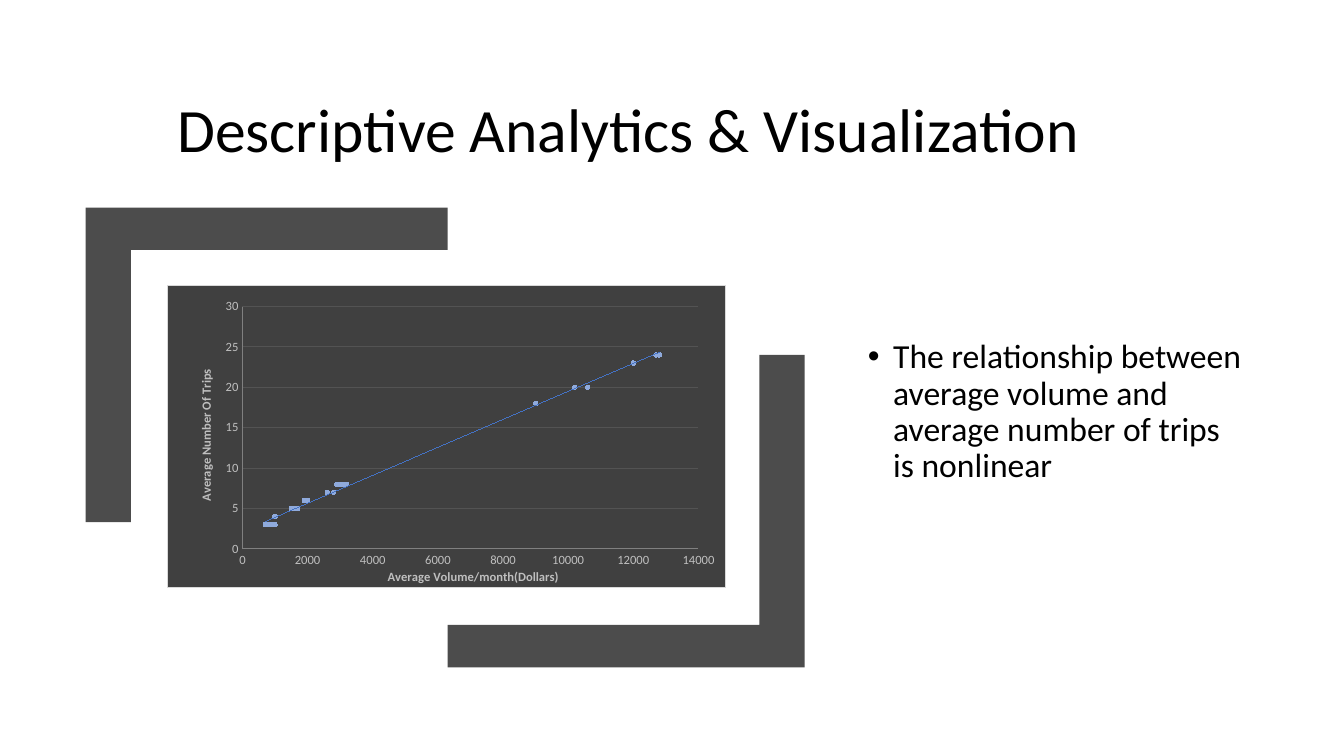
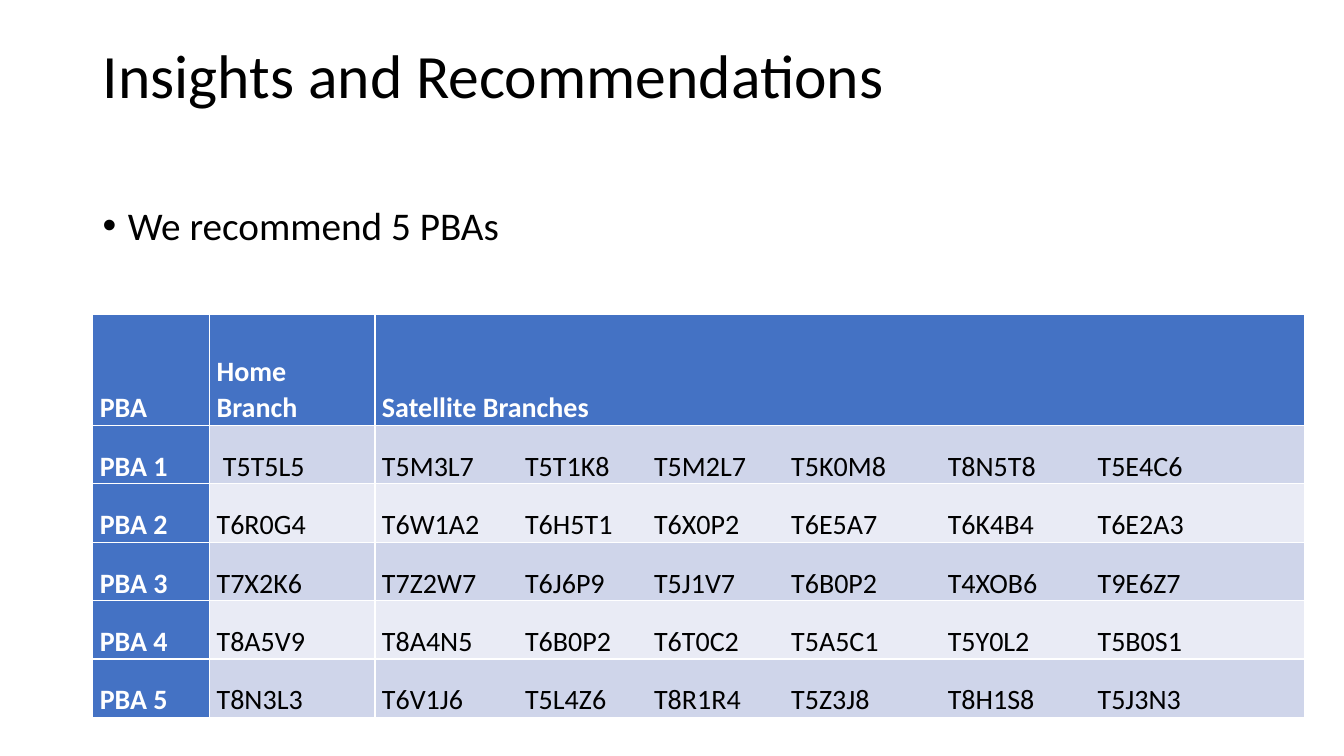
"""Build two slides: a scatter chart of trips by volume and a table of recommended PBAs."""
from lxml import etree
from pptx import Presentation
from pptx import chart as ch
from pptx import util as u
from pptx.chart import data
from pptx.dml import color
from pptx.enum import chart as ce, text
from pptx.oxml import ns, parse_xml

C = {"ink": "000000", "paper": "FFFFFF", "bracket": "4C4C4C", "accent": "4472C4",
     "band": "CFD5EA", "pale": "E9EBF5", "panel": "404040", "edge": "D9D9D9",
     "label": "BFBFBF", "axis": "808080", "grid": "535353", "dot": "8FAADC"}
FONT = "Calibri"
W, H = u.Inches(13.33), u.Inches(7.5)

VOLUMES = [800, 2900, 3100, 1500, 1700, 1700, 900, 2600, 1000, 700, 1500, 10600,
           1600, 2600, 900, 800, 2800, 1000, 1900, 9000, 10200, 3000, 2000, 1900,
           1500, 12000, 3000, 1000, 12800, 800, 2600, 12700, 1000, 3200, 1700]
TRIPS = [3, 8, 8, 5, 5, 5, 3, 7, 4, 3, 5, 20, 5, 7, 3, 3, 7, 3, 6, 18, 20, 8, 6, 6,
         5, 23, 8, 4, 24, 3, 7, 24, 4, 8, 5]
HEADER = ["PBA", "Home Branch", "Satellite Branches"]
BRANCHES = [(" T5T5L5", "T5M3L7 T5T1K8 T5M2L7 T5K0M8 T8N5T8 T5E4C6"),
            ("T6R0G4", "T6W1A2 T6H5T1 T6X0P2 T6E5A7 T6K4B4 T6E2A3"),
            ("T7X2K6", "T7Z2W7 T6J6P9 T5J1V7 T6B0P2 T4XOB6 T9E6Z7"),
            ("T8A5V9", "T8A4N5 T6B0P2 T6T0C2 T5A5C1 T5Y0L2 T5B0S1"),
            ("T8N3L3", "T6V1J6 T5L4Z6 T8R1R4 T5Z3J8 T8H1S8 T5J3N3")]
TABS = [10.65, 20.25, 30.45, 42.1, 53.25]


def px(share):
    """Return a percentage of the slide's width."""
    return u.Emu(round(W * share / 100))


def py(share):
    """Return a percentage of the slide's height."""
    return u.Emu(round(H * share / 100))


def box(left, top, width, height):
    """Return a frame given as percentages of the slide."""
    return px(left), py(top), px(width), py(height)


def rgb(name):
    """Return a palette colour."""
    return color.RGBColor.from_string(C[name])


def style(font, size, name="ink", bold=False):
    """Set the face, size, colour and weight of a font."""
    font.name, font.size, font.bold = FONT, u.Pt(size), bold
    font.color.rgb = rgb(name)


def add_slide(prs, title, frame, anchor):
    """Add a title-only slide with its title placed and formatted."""
    s = prs.slides.add_slide(prs.slide_layouts[5])
    sp = s.shapes.title
    sp.left, sp.top, sp.width, sp.height = frame
    tf = sp.text_frame
    tf.text, tf.vertical_anchor = title, anchor
    tf.auto_size = text.MSO_AUTO_SIZE.NONE
    p = tf.paragraphs[0]
    p.alignment, p.line_spacing = text.PP_ALIGN.LEFT, 0.9
    style(p.runs[0].font, 44)
    return s


def add_bullet(s, words, frame, size, anchor=text.MSO_ANCHOR.TOP, bottom=0.05):
    """Add a text box holding one bulleted paragraph."""
    tf = s.shapes.add_textbox(*frame).text_frame
    tf.word_wrap, tf.vertical_anchor = True, anchor
    tf.margin_bottom = u.Inches(bottom)
    tf.text = words
    p = tf.paragraphs[0]
    p.line_spacing, p.space_before = 0.9, u.Pt(10)
    style(p.runs[0].font, size)
    pPr = p._p.get_or_add_pPr()
    pPr.set("marL", str(u.Inches(0.25)))
    pPr.set("indent", str(-u.Inches(0.25)))
    etree.SubElement(pPr, ns.qn("a:buFont")).set("typeface", "Arial")
    etree.SubElement(pPr, ns.qn("a:buChar")).set("char", "•")


def add_bracket(s, corner, end, thick):
    """Draw an L-shaped bracket from its outer corner to the ends of its arms."""
    (x, y), (ex, ey), (tx, ty) = corner, end, thick
    points = [(x, y), (ex, y), (ex, y + ty), (x + tx, y + ty), (x + tx, ey), (x, ey)]
    points = [(px(a), py(b)) for a, b in points]
    builder = s.shapes.build_freeform(*points[0])
    builder.add_line_segments(points[1:])
    sp = builder.convert_to_shape()
    sp.shadow.inherit = False
    sp.fill.solid()
    sp.fill.fore_color.rgb = rgb("bracket")
    sp.line.fill.background()


def set_layout(parent, index, **values):
    """Give a chart part a manual layout, in shares of the chart."""
    for old in parent.findall(ns.qn("c:layout")):
        parent.remove(old)
    layout = etree.Element(ns.qn("c:layout"))
    manual = etree.SubElement(layout, ns.qn("c:manualLayout"))
    for tag, value in values.items():
        etree.SubElement(manual, ns.qn("c:" + tag)).set("val", str(value))
    parent.insert(index, layout)


def format_axis(axis, title, top, step, at):
    """Scale and colour an axis and place its title."""
    axis.minimum_scale, axis.maximum_scale, axis.major_unit = 0, top, step
    axis.major_tick_mark = axis.minor_tick_mark = ce.XL_TICK_MARK.NONE
    style(axis.tick_labels.font, 9, "label")
    axis.format.line.color.rgb, axis.format.line.width = rgb("axis"), u.Pt(0.75)
    tf = axis.axis_title.text_frame
    tf.text = title
    style(tf.paragraphs[0].runs[0].font, 9, "label", True)
    set_layout(axis.axis_title._element, 1, xMode="edge", yMode="edge", x=at[0], y=at[1])
    return tf


def add_scatter(s, frame):
    """Add the scatter chart with a linear trend line."""
    cd = data.XyChartData()
    points = cd.add_series("Series 1")
    for x, y in zip(VOLUMES, TRIPS):
        points.add_data_point(x, y)
    chart = s.shapes.add_chart(ce.XL_CHART_TYPE.XY_SCATTER, *frame, cd).chart
    chart.has_title = chart.has_legend = False
    style(chart.font, 10)
    plot = chart.plots[0]
    plot.vary_by_categories = False
    set_layout(chart._chartSpace.chart.plotArea, 0, layoutTarget="inner", xMode="edge",
               yMode="edge", x=0.134, y=0.069, w=0.818, h=0.803)
    chart._chartSpace.chart.addnext(parse_xml(
        f'<c:spPr {ns.nsdecls("c", "a")}><a:solidFill><a:srgbClr val="{C["panel"]}"/>'
        f'</a:solidFill><a:ln w="9525"><a:solidFill><a:srgbClr val="{C["edge"]}"/>'
        '</a:solidFill></a:ln></c:spPr>'))

    x_axis, y_axis = chart.category_axis, chart.value_axis
    x_axis.has_major_gridlines = False
    format_axis(x_axis, "Average Volume/month(Dollars)", 14000, 2000, (0.39, 0.93))
    tf = format_axis(y_axis, "Average Number Of Trips", 30, 5, (0.05, 0.27))
    tf._txBody.bodyPr.set("rot", "-5400000")
    tf._txBody.bodyPr.set("vert", "horz")
    y_axis.has_major_gridlines = True
    grid = y_axis.major_gridlines.format.line
    grid.color.rgb, grid.width = rgb("grid"), u.Pt(0.75)

    series = plot.series[0]
    series.smooth = False
    series.format.line.fill.background()
    marker = series.marker
    marker.style, marker.size = ce.XL_MARKER_STYLE.CIRCLE, 3
    marker.format.fill.solid()
    marker.format.fill.fore_color.rgb = rgb("dot")
    marker.format.line.color.rgb = rgb("dot")
    series._element.find(ns.qn("c:xVal")).addprevious(parse_xml(
        f'<c:trendline {ns.nsdecls("c", "a")}><c:spPr><a:ln w="0"><a:solidFill>'
        f'<a:srgbClr val="{C["accent"]}"/></a:solidFill></a:ln></c:spPr>'
        '<c:trendlineType val="linear"/><c:dispRSqr val="0"/><c:dispEq val="0"/>'
        '</c:trendline>'))


def fill_cell(cell, words, fill, name, bold):
    """Write a table cell, setting its codes on shared tab stops."""
    cell.text = words
    cell.vertical_anchor = text.MSO_ANCHOR.BOTTOM
    cell.margin_left = cell.margin_right = u.Inches(0.07)
    cell.margin_top = cell.margin_bottom = 0
    cell.fill.solid()
    cell.fill.fore_color.rgb = rgb(fill)
    p = cell.text_frame.paragraphs[0]
    p.line_spacing = 1.07
    style(p.runs[0].font, 20, name, bold)
    if "\t" in words:
        stops = etree.SubElement(p._p.get_or_add_pPr(), ns.qn("a:tabLst"))
        for stop in TABS:
            etree.SubElement(stops, ns.qn("a:tab"), pos=str(px(stop)), algn="l")


def add_branch_table(s, frame):
    """Add the table of home and satellite branches."""
    rows = [HEADER] + [[f"PBA {i}", home, "\t".join(codes.split())]
                       for i, (home, codes) in enumerate(BRANCHES, 1)]
    table = s.shapes.add_table(len(rows), len(HEADER), *frame).table
    for column, share in zip(table.columns, (8.7, 12.3, 69.17)):
        column.width = px(share)
    for i, row in enumerate(rows):
        table.rows[i].height = py(7.73 if i else 14.67)
        for j, words in enumerate(row):
            head = i == 0 or j == 0
            fill = "accent" if head else "band" if i % 2 else "pale"
            fill_cell(table.cell(i, j), words, fill, "paper" if head else "ink", head)


def main():
    """Build and save the presentation."""
    prs = Presentation()
    prs.slide_width, prs.slide_height = W, H

    s = add_slide(prs, "Descriptive Analytics & Visualization",
                  box(12.45, 7.47, 81.17, 15.07), text.MSO_ANCHOR.BOTTOM)
    add_bracket(s, (6.38, 27.47), (33.31, 69.07), (3.36, 5.6))
    add_bracket(s, (59.86, 88.27), (33.31, 46.93), (-3.36, -5.6))
    add_bullet(s, "The relationship between average volume and average number of trips "
               "is nonlinear", box(63.84, 33.2, 29.78, 49.33), 24,
               text.MSO_ANCHOR.MIDDLE, 0.55)
    add_scatter(s, box(12.45, 37.73, 41.56, 40.13))

    s = add_slide(prs, "Insights and Recommendations",
                  box(6.9, 5.33, 86.27, 19.33), text.MSO_ANCHOR.TOP)
    add_bullet(s, "We recommend 5 PBAs", box(6.9, 26.67, 86.27, 63.47), 28)
    add_branch_table(s, box(6.9, 41.6, 90.17, 53.07))

    prs.save("out.pptx")


if __name__ == "__main__":
    main()
